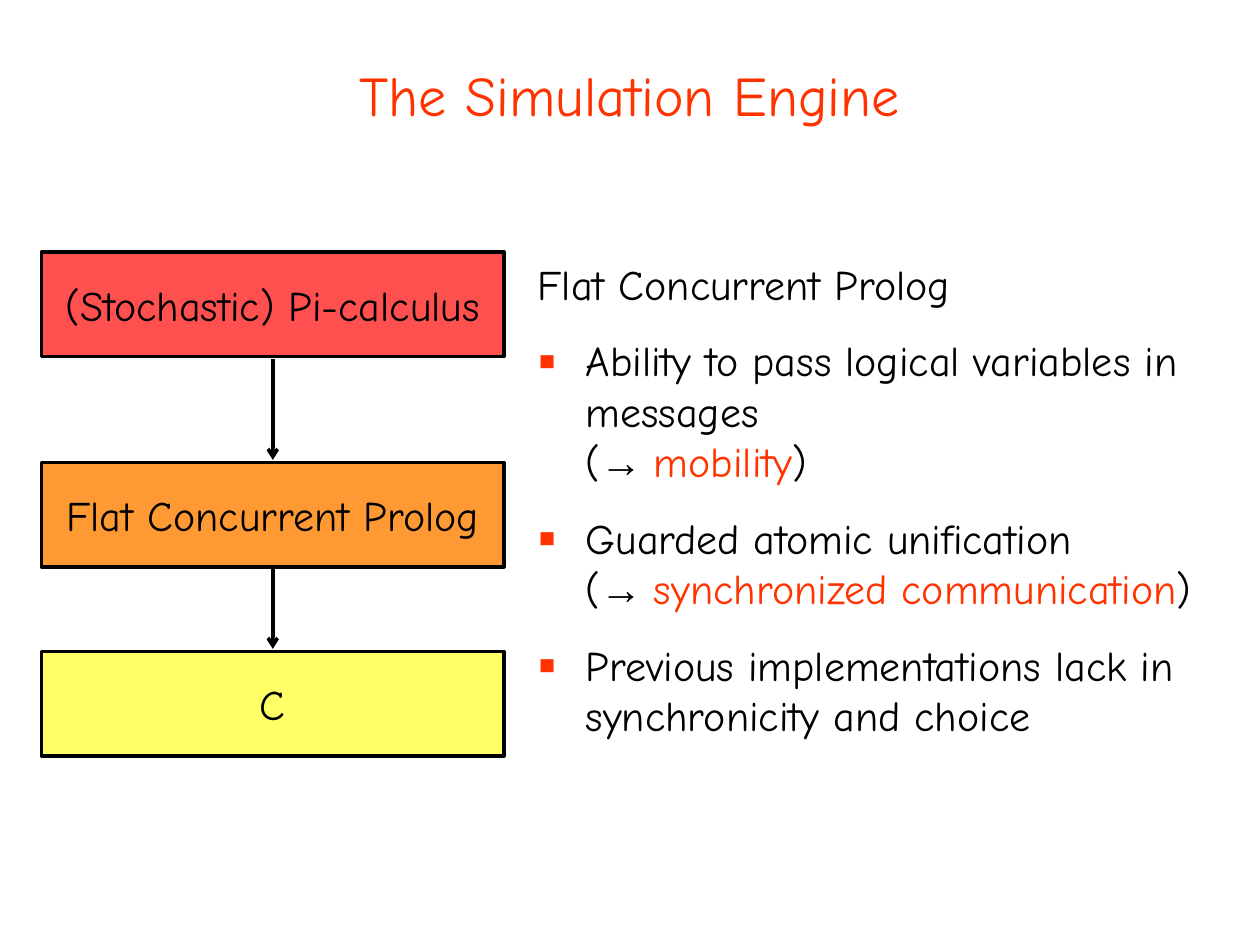
from lxml import etree
from pptx import Presentation
from pptx.dml import color
from pptx.enum import shapes, text
from pptx.oxml import ns
from pptx.util import Inches, Pt

FONT = "Comic Neue"
ACCENT = "FF3300"
BLACK = "000000"
LAYER_LEFT, LAYER_WIDTH, LAYER_HEIGHT = 0.33, 3.67, 0.83
ARROW_GAP = 0.02
LAYERS = [
    ("(Stochastic) Pi-calculus", 2, "FF5050"),
    ("Flat Concurrent Prolog", 3.67, "FF9933"),
    ("C", 5.17, "FFFF66"),
]
POINTS = [
    ("Ability to pass logical variables in messages", "mobility"),
    ("Guarded atomic unification", "synchronized communication"),
    ("Previous implementations lack in synchronicity and choice", None),
]


def rgb(value):
    """Turn a hex string into a colour."""
    return color.RGBColor.from_string(value)


def add_child(parent, tag, **attributes):
    """Append a DrawingML element and return it."""
    return etree.SubElement(parent, ns.qn(tag), attributes)


def style_run(run, size=24, hue=BLACK, font=FONT):
    """Set the size, colour and typeface of a run."""
    run.font.size = Pt(size)
    run.font.name = font
    run.font.color.rgb = rgb(hue)


def add_run(paragraph, wording, **style):
    """Append a styled run."""
    run = paragraph.add_run()
    run.text = wording
    style_run(run, **style)


def add_title(slide, wording):
    """Add the centred slide title."""
    title = slide.shapes.add_textbox(Inches(0.5), Inches(0.33), Inches(9), Inches(0.83))
    frame = title.text_frame
    frame.word_wrap = True
    frame.vertical_anchor = text.MSO_ANCHOR.MIDDLE
    frame.text = wording
    frame.paragraphs[0].alignment = text.PP_ALIGN.CENTER
    style_run(frame.paragraphs[0].runs[0], size=32, hue=ACCENT)


def add_layer(slide, wording, top, fill):
    """Add one layer of the engine as a filled box."""
    layer = slide.shapes.add_shape(
        shapes.MSO_SHAPE.RECTANGLE,
        Inches(LAYER_LEFT), Inches(top), Inches(LAYER_WIDTH), Inches(LAYER_HEIGHT),
    )
    layer.shadow.inherit = False
    layer.fill.solid()
    layer.fill.fore_color.rgb = rgb(fill)
    layer.line.color.rgb = rgb(BLACK)
    layer.line.width = Pt(2)
    frame = layer.text_frame
    frame.word_wrap = False
    frame.vertical_anchor = text.MSO_ANCHOR.MIDDLE
    frame.text = wording
    frame.paragraphs[0].alignment = text.PP_ALIGN.CENTER
    style_run(frame.paragraphs[0].runs[0])


def add_arrow(slide, top, bottom):
    """Add a downward arrow between two layers."""
    center = Inches(LAYER_LEFT + LAYER_WIDTH / 2)
    arrow = slide.shapes.add_connector(
        shapes.MSO_CONNECTOR.STRAIGHT, center, Inches(top), center, Inches(bottom)
    )
    arrow.line.color.rgb = rgb(BLACK)
    arrow.line.width = Pt(2)
    add_child(arrow.line._get_or_add_ln(), "a:tailEnd", type="arrow")
    add_child(arrow._element.spPr, "a:effectLst")


def add_bullet(paragraph):
    """Give a paragraph a hanging square bullet."""
    paragraph.space_before = Pt(15)
    properties = paragraph._p.get_or_add_pPr()
    properties.set("marL", str(Inches(0.38)))
    properties.set("indent", str(Inches(-0.38)))
    add_child(add_child(properties, "a:buClr"), "a:srgbClr", val=ACCENT)
    add_child(properties, "a:buSzPct", val="125000")
    add_child(properties, "a:buFont", typeface="Arial")
    add_child(properties, "a:buChar", char="▪")


def add_features(slide, heading, points):
    """Add the heading and its bulleted features."""
    features = slide.shapes.add_textbox(Inches(4.17), Inches(2), Inches(5.67), Inches(4.08))
    frame = features.text_frame
    frame.word_wrap = True
    frame.text = heading
    style_run(frame.paragraphs[0].runs[0])
    for feature, benefit in points:
        paragraph = frame.add_paragraph()
        add_bullet(paragraph)
        add_run(paragraph, feature)
        if benefit:
            paragraph.add_line_break()
            add_run(paragraph, "(")
            add_run(paragraph, "→ ", font="Arial")
            add_run(paragraph, benefit, hue=ACCENT)
            add_run(paragraph, ")")


def main():
    """Build and save the slide."""
    deck = Presentation()
    deck.slide_width, deck.slide_height = Inches(10), Inches(7.5)
    slide = deck.slides.add_slide(deck.slide_layouts[6])
    add_title(slide, "The Simulation Engine")
    add_features(slide, "Flat Concurrent Prolog", POINTS)
    for layer in LAYERS:
        add_layer(slide, *layer)
    for (_, upper, _), (_, lower, _) in zip(LAYERS, LAYERS[1:]):
        add_arrow(slide, upper + LAYER_HEIGHT + ARROW_GAP, lower - ARROW_GAP)
    deck.save("out.pptx")


if __name__ == "__main__":
    main()
